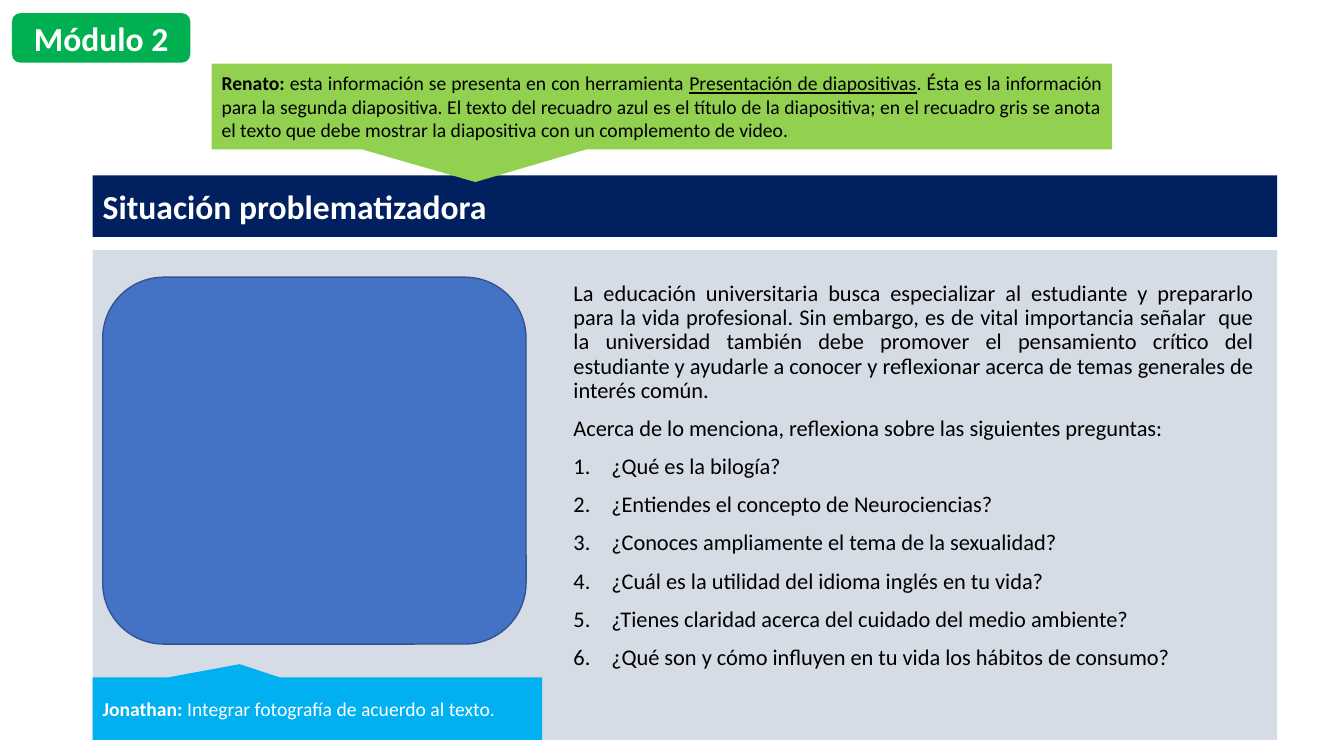
import pptx
import pptx.dml.color
import pptx.enum.shapes
import pptx.enum.text
import pptx.oxml.ns
import pptx.util
from lxml import etree

Pt = pptx.util.Pt
SHAPE = pptx.enum.shapes.MSO_SHAPE
ALIGN = pptx.enum.text.PP_ALIGN
ANCHOR = pptx.enum.text.MSO_ANCHOR

COLORS = {
    "navy": "002060", "gray": "D6DCE5", "green": "00B050", "lime": "92D050",
    "sky": "00B0F0", "blue": "4472C4", "outline": "325491",
    "white": "FFFFFF", "black": "000000",
}
FONT = "Calibri"
INSET = 7.2
NUMBER_INDENT = 27

REFLECTION = (
    "La educación universitaria busca especializar al estudiante y prepararlo "
    "para la vida profesional. Sin embargo, es de vital importancia señalar  que "
    "la universidad también debe promover el pensamiento crítico del estudiante "
    "y ayudarle a conocer y reflexionar acerca de temas generales de interés común."
)
INVITATION = "Acerca de lo menciona, reflexiona sobre las siguientes preguntas:"
QUESTIONS = [
    "¿Qué es la bilogía?",
    "¿Entiendes el concepto de Neurociencias?",
    "¿Conoces ampliamente el tema de la sexualidad?",
    "¿Cuál es la utilidad del idioma inglés en tu vida?",
    "¿Tienes claridad acerca del cuidado del medio ambiente?",
    "¿Qué son y cómo influyen en tu vida los hábitos de consumo?",
]


def rgb(name):
    return pptx.dml.color.RGBColor.from_string(COLORS[name])


def write(paragraph, text, size=16, color="black", bold=False, underline=False,
          align=ALIGN.LEFT):
    paragraph.alignment = align
    run = paragraph.add_run()
    run.text = text
    run.font.name = FONT
    run.font.size = Pt(size)
    run.font.bold = bold
    run.font.underline = underline
    run.font.color.rgb = rgb(color)


def add_block(slide, kind, box, fill, outline=None):
    block = slide.shapes.add_shape(kind, *map(Pt, box))
    block.shadow.inherit = False
    block.fill.solid()
    block.fill.fore_color.rgb = rgb(fill)
    if outline:
        block.line.color.rgb = rgb(outline)
        block.line.width = Pt(1)
    else:
        block.line.fill.background()
    block.text_frame.word_wrap = True
    block.text_frame.vertical_anchor = ANCHOR.MIDDLE
    return block


def place_placeholder(placeholder, box, anchor):
    """Move a placeholder to the box and in front of everything drawn so far."""
    placeholder.left, placeholder.top, placeholder.width, placeholder.height = map(Pt, box)
    placeholder.element.getparent().append(placeholder.element)
    frame = placeholder.text_frame
    frame.word_wrap = True
    frame.auto_size = pptx.enum.text.MSO_AUTO_SIZE.NONE
    frame.vertical_anchor = anchor
    return frame


def space_paragraph(paragraph, numbered=False):
    paragraph.line_spacing = 0.9
    paragraph.space_before = Pt(10)
    properties = paragraph._p.get_or_add_pPr()
    indent = Pt(NUMBER_INDENT) if numbered else 0
    properties.set("marL", str(indent))
    properties.set("indent", str(-indent))
    bullet = etree.SubElement(
        properties, pptx.oxml.ns.qn("a:buAutoNum" if numbered else "a:buNone"))
    if numbered:
        bullet.set("type", "arabicPeriod")


def add_title(slide, box):
    left, top, width, height = box
    add_block(slide, SHAPE.RECTANGLE, box, "navy")
    frame = place_placeholder(slide.shapes.title,
                              (left, top + 3.6, 406, height - 7.2), ANCHOR.BOTTOM)
    heading = frame.paragraphs[0]
    write(heading, "Situación problematizadora", size=24, color="white", bold=True)
    space_paragraph(heading)


def add_module_tag(slide, box):
    tag = add_block(slide, SHAPE.ROUNDED_RECTANGLE, box, "green")
    write(tag.text_frame.paragraphs[0], "Módulo 2", size=24, color="white",
          bold=True, align=ALIGN.CENTER)


def add_callout(slide, box, fill, tip, color, pieces):
    """Add a note whose pieces are (text, format) pairs; tip is relative to its centre."""
    callout = add_block(slide, SHAPE.RECTANGULAR_CALLOUT, box, fill)
    callout.adjustments[0], callout.adjustments[1] = tip
    note = callout.text_frame.paragraphs[0]
    for text, style in pieces:
        write(note, text, size=14, color=color, align=ALIGN.JUSTIFY, **style)


def add_content(slide, box):
    left, top, width, height = box
    add_block(slide, SHAPE.RECTANGLE, box, "gray")
    frame = place_placeholder(slide.placeholders[1],
                              (left + 336.2, top + 19.4, 500.4, 319), ANCHOR.TOP)
    intro = frame.paragraphs[0]
    write(intro, REFLECTION, align=ALIGN.JUSTIFY)
    space_paragraph(intro)
    for text in [INVITATION] + QUESTIONS:
        line = frame.add_paragraph()
        write(line, text)
        space_paragraph(line, numbered=text in QUESTIONS)

    note_height = 44.6
    add_callout(slide, (left, top + height - note_height, 321.1, note_height),
                "sky", (-0.173, -0.713), "white",
                [("Jonathan: ", {"bold": True}),
                 ("Integrar fotografía de acuerdo al texto.", {})])
    add_block(slide, SHAPE.ROUNDED_RECTANGLE,
              (left + INSET, top + 19.4, 302.4, 262.1), "blue", outline="outline")


def main():
    deck = pptx.Presentation()
    deck.slide_width, deck.slide_height = Pt(960), Pt(540)
    slide = deck.slides.add_slide(deck.slide_layouts[1])
    left, width = 66.2, 846
    add_title(slide, (left, 125.3, width, 43.9))
    add_module_tag(slide, (8.6, 9.4, 127.4, 35.3))
    add_callout(slide, (151.2, 45.4, 643, 61.2), "lime", (-0.207, 0.883), "black", [
        ("Renato: ", {"bold": True}),
        ("esta información se presenta en con herramienta ", {}),
        ("Presentación de diapositivas", {"underline": True}),
        (". Ésta es la información para la segunda diapositiva. El texto del "
         "recuadro azul es el título de la diapositiva; en el recuadro gris se "
         "anota el texto que debe mostrar la diapositiva con un complemento de "
         "video.", {}),
    ])
    add_content(slide, (left, 178.6, width, 349.9))
    deck.save("out.pptx")


if __name__ == "__main__":
    main()
